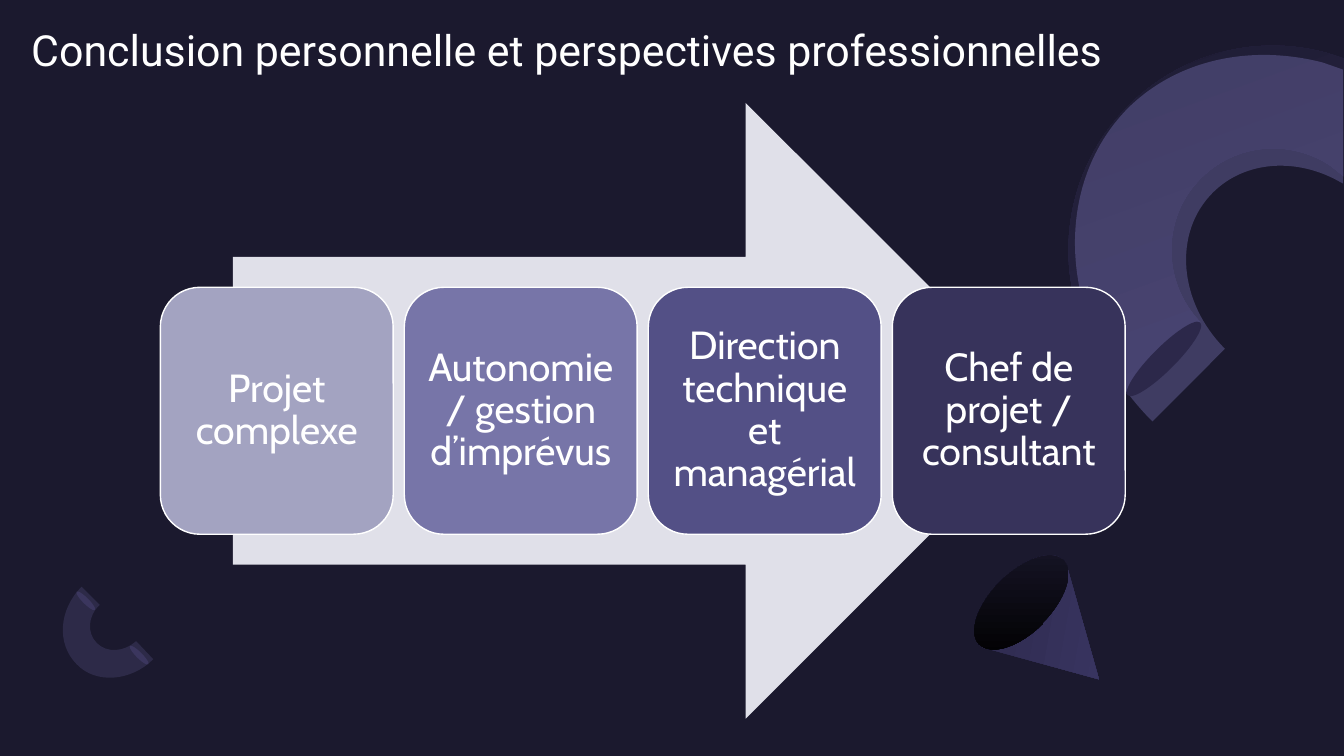
import math

from lxml import etree
from pptx import Presentation
from pptx.dml.color import RGBColor
from pptx.enum import shapes, text
from pptx.oxml import ns
from pptx.util import Pt

PX = 9144  # one px is a hundredth of an inch
THEME = {
    "night": "1B192E", "shade": "2C284A", "violet": "3C3867", "glow": "7771B2",
    "ink": "171527", "black": "000000", "white": "FFFFFF", "arrow": "E0E0E9",
    "steps": ["A3A3C1", "7775A8", "535086", "37335B"],
    "title_font": "Roboto", "title_size": 30.6,
    "step_font": "Cabin", "step_size": 28,
}


def paint(shape, color, alpha=None, end=None, angle=0):
    """Plain, see-through or two-colour fill, with no line or shadow."""
    shape.shadow.inherit = False
    shape.line.fill.background()
    properties = shape._element.spPr
    if end:
        shape.fill.gradient()
        shape.fill.gradient_angle = 360 - angle
        properties.find(ns.qn("a:gradFill")).set("rotWithShape", "0")
        for stop, tone in zip(shape.fill.gradient_stops, (color, end)):
            stop.color.rgb = RGBColor.from_string(THEME[tone])
        return
    shape.fill.solid()
    shape.fill.fore_color.rgb = RGBColor.from_string(THEME.get(color, color))
    if alpha:
        tint = properties.find(".//" + ns.qn("a:srgbClr"))
        etree.SubElement(tint, ns.qn("a:alpha"), val=str(alpha * 1000))


def outline(frame, turn, start, *segments):
    """Turned outline from slide points: two numbers make a line, six a curve."""
    left, top, width, height = frame
    builder = slide.shapes.build_freeform(left * PX, top * PX, scale=1.0)
    builder.add_line_segments([((left + width) * PX, top * PX),
                               ((left + width) * PX, (top + height) * PX),
                               (left * PX, (top + height) * PX)], close=True)
    shape = builder.convert_to_shape()
    shape.rotation = turn
    track = shape._element.spPr.find(".//" + ns.qn("a:path"))
    for corner in list(track):
        track.remove(corner)
    cos, sin = math.cos(math.radians(turn)), math.sin(math.radians(turn))
    for order, segment in enumerate((start, *segments)):
        kind = "moveTo" if order == 0 else "lnTo" if len(segment) == 2 else "cubicBezTo"
        command = etree.SubElement(track, ns.qn("a:" + kind))
        for x, y in zip(segment[::2], segment[1::2]):
            dx, dy = x - left - width / 2, y - top - height / 2
            etree.SubElement(command, ns.qn("a:pt"),
                             x=str(round((dx * cos + dy * sin + width / 2) * PX)),
                             y=str(round((dy * cos - dx * sin + height / 2) * PX)))
    etree.SubElement(track, ns.qn("a:close"))
    return shape


# Slide and background
deck = Presentation()
deck.slide_width, deck.slide_height = 1333 * PX, 750 * PX
slide = deck.slides.add_slide(deck.slide_layouts[5])
slide.background.fill.solid()
slide.background.fill.fore_color.rgb = RGBColor.from_string(THEME["night"])

# Title
title = slide.shapes.title
title.left, title.top, title.width, title.height = 31 * PX, 33 * PX, 1165 * PX, 68 * PX
title_format = {"margin_left": 0, "margin_top": 0, "margin_right": 0, "margin_bottom": 0,
                "word_wrap": True, "auto_size": text.MSO_AUTO_SIZE.NONE,
                "vertical_anchor": text.MSO_ANCHOR.TOP}
for name, value in title_format.items():
    setattr(title.text_frame, name, value)
title.text_frame.text = "Conclusion personnelle et perspectives professionnelles"
heading = title.text_frame.paragraphs[0]
heading.alignment = text.PP_ALIGN.LEFT
heading.line_spacing = 0.8
heading.font.name, heading.font.size = THEME["title_font"], Pt(THEME["title_size"])
heading.font.color.rgb = RGBColor.from_string(THEME["white"])

# Large ring
ring = outline((991, 82, 387, 203), 315, (1119, 392),
               (1040, 312, 1040, 184, 1119, 105), (1174, 50, 1252, 33, 1321, 54),
               (1333, 58), (1333, 175), (1319, 164),
               (1279, 138, 1226, 142, 1191, 177), (1152, 216, 1152, 280, 1191, 320))
paint(ring, "shade", end="night", angle=250)
ring_glow = outline((1004, 82, 380, 237), 315, (1143, 418),
                    (1051, 326, 1040, 187, 1119, 107), (1169, 58, 1242, 44, 1312, 62),
                    (1332, 69), (1332, 182), (1330, 181),
                    (1287, 156, 1235, 159, 1203, 191), (1163, 231, 1169, 300, 1215, 346))
paint(ring_glow, "glow", alpha=40)

# Cone
cone = outline((982, 557, 118, 138), 135, (1090, 674), (977, 643), (976, 643),
               (974, 642, 973, 641, 971, 639), (960, 628, 969, 600, 992, 577),
               (1015, 554, 1043, 544, 1055, 556), (1056, 557, 1057, 559, 1058, 561))
paint(cone, "shade", end="violet", angle=10)
cone_base = outline((984, 539, 59, 118), 225, (1034, 619),
                    (1011, 642, 983, 651, 971, 639), (960, 628, 969, 600, 992, 577),
                    (1015, 554, 1043, 544, 1055, 556), (1066, 567, 1057, 595, 1034, 618))
paint(cone_base, "ink", end="black", angle=90)

# Small ring
small_ring = outline((43, 616, 101, 51), 45, (76, 659), (56, 639, 56, 607, 76, 587),
                     (93, 605), (84, 615, 84, 631, 93, 641),
                     (103, 651, 119, 651, 129, 641), (147, 659),
                     (127, 679, 95, 679, 76, 659))
paint(small_ring, "night")

# Cut ends of both rings
for left, top, width, height, turn in [(1143, 305, 23, 102, 225), (135, 637, 6, 26, 135),
                                       (82, 583, 6, 26, 135)]:
    cut = slide.shapes.add_shape(shapes.MSO_SHAPE.OVAL, left * PX, top * PX,
                                 width * PX, height * PX)
    cut.rotation = turn
    paint(cut, "shade")

small_glow = outline((45, 609, 101, 58), 45, (76, 659), (56, 639, 58, 605, 81, 582),
                     (99, 600), (87, 611, 86, 628, 96, 638),
                     (106, 648, 123, 647, 135, 636), (152, 654),
                     (130, 676, 95, 679, 76, 659))
paint(small_glow, "glow", alpha=20)

# Arrow behind the steps
arrow = slide.shapes.add_shape(shapes.MSO_SHAPE.RIGHT_ARROW, 231 * PX, 102 * PX,
                               814 * PX, 611 * PX)
paint(arrow, "arrow")

# Four career steps
steps = ["Projet complexe", "Autonomie / gestion d’imprévus",
         "Direction technique et managérial", "Chef de projet / consultant"]
step_format = {"margin_left": 12 * PX, "margin_right": 12 * PX, "margin_top": 12 * PX,
               "margin_bottom": 12 * PX, "word_wrap": True,
               "vertical_anchor": text.MSO_ANCHOR.MIDDLE}
for index, (wording, color) in enumerate(zip(steps, THEME["steps"])):
    card = slide.shapes.add_shape(shapes.MSO_SHAPE.ROUNDED_RECTANGLE,
                                  (159 + 242 * index) * PX, 285 * PX, 231 * PX, 245 * PX)
    card.adjustments[0] = 0.17
    paint(card, color)
    card.line.color.rgb = RGBColor.from_string(THEME["white"])
    card.line.width = Pt(1)
    for name, value in step_format.items():
        setattr(card.text_frame, name, value)
    card.text_frame.text = wording
    label = card.text_frame.paragraphs[0]
    label.alignment = text.PP_ALIGN.CENTER
    label.line_spacing = 0.9
    label.space_after = Pt(12)
    label.font.name, label.font.size = THEME["step_font"], Pt(THEME["step_size"])
    label.font.color.rgb = RGBColor.from_string(THEME["white"])

deck.save("out.pptx")
